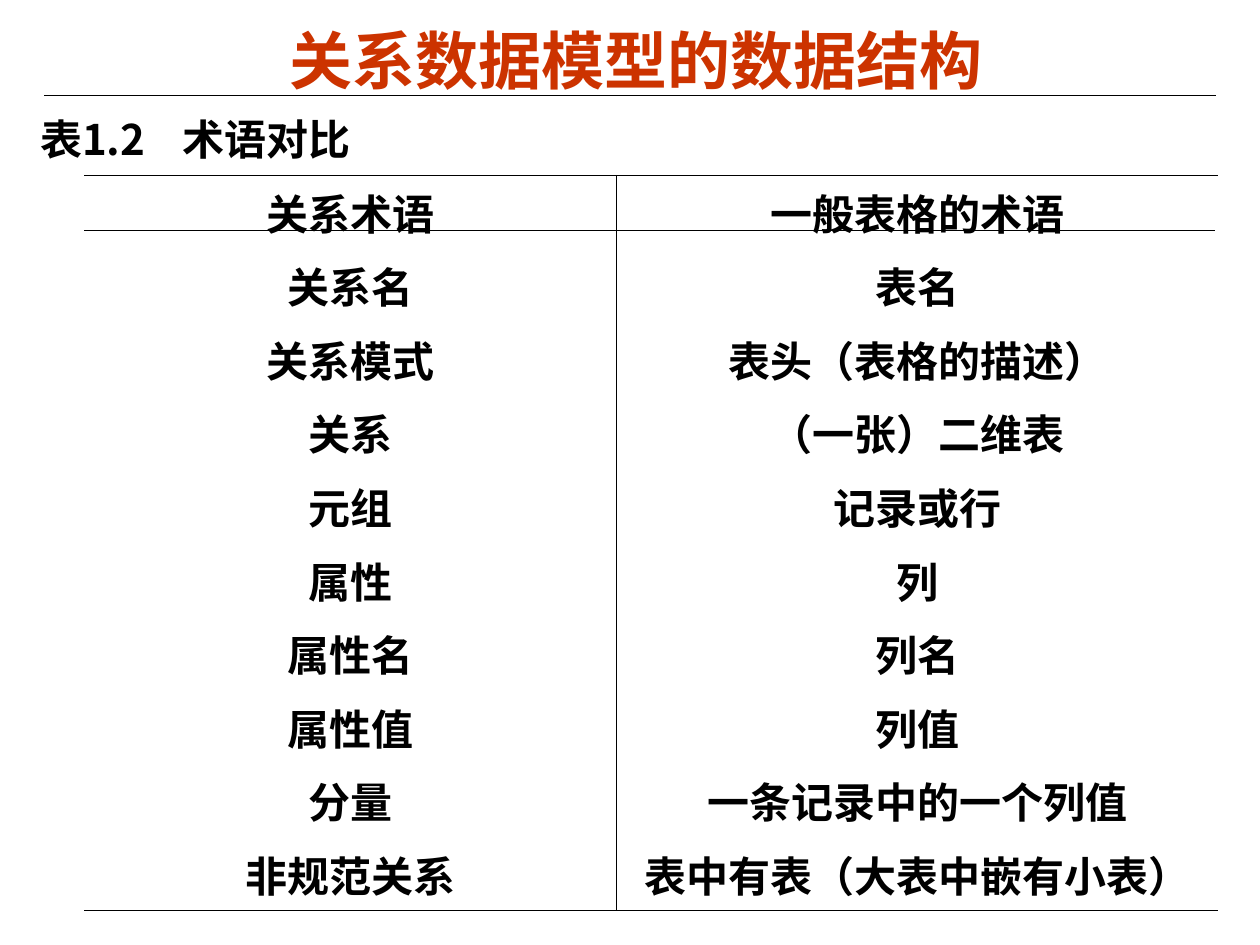
from pptx import Presentation
from pptx import util as u
from pptx.dml.color import RGBColor
from pptx.enum import shapes, text
from pptx.oxml import ns, xmlchemy

FONT = "Noto Sans CJK SC"
RED = RGBColor(0xCC, 0x33, 0x00)
BLACK = RGBColor(0x00, 0x00, 0x00)
TERMS = [
    ("关系术语", "一般表格的术语"),
    ("关系名", "表名"),
    ("关系模式", "表头（表格的描述）"),
    ("关系", "（一张）二维表"),
    ("元组", "记录或行"),
    ("属性", "列"),
    ("属性名", "列名"),
    ("属性值", "列值"),
    ("分量", "一条记录中的一个列值"),
    ("非规范关系", "表中有表（大表中嵌有小表）"),
]


def add_child(parent, tag, **attributes):
    child = xmlchemy.OxmlElement(tag)
    for name, value in attributes.items():
        child.set(name, str(value))
    parent.append(child)
    return child


def write(frame, content, size=24, color=BLACK, align=text.PP_ALIGN.CENTER, tab=None):
    paragraph = frame.paragraphs[0]
    paragraph.alignment = align
    if tab is not None:
        tabs = add_child(paragraph._p.get_or_add_pPr(), "a:tabLst")
        add_child(tabs, "a:tab", pos=int(tab), algn="l")
    run = paragraph.add_run()
    run.text = content
    run.font.size = u.Pt(size)
    run.font.bold = True
    run.font.color.rgb = color
    run.font.name = FONT
    latin = run.font._element.find(ns.qn("a:latin"))
    east_asian = xmlchemy.OxmlElement("a:ea")
    east_asian.set("typeface", FONT)
    latin.addnext(east_asian)


class SlideBuilder:
    """Draws the styled elements of one slide."""

    def __init__(self, slide):
        self.slide = slide

    def line(self, left, right, top):
        line = self.slide.shapes.add_connector(
            shapes.MSO_CONNECTOR.STRAIGHT,
            u.Inches(left), u.Inches(top), u.Inches(right), u.Inches(top))
        line.line.color.rgb = BLACK
        line.line.width = u.Pt(0.75)
        add_child(line._element.spPr, "a:effectLst")

    def textbox(self, content, left, top, width, height, wrap=True, **style):
        shape = self.slide.shapes.add_textbox(*map(u.Inches, (left, top, width, height)))
        frame = shape.text_frame
        frame.word_wrap = wrap
        frame.vertical_anchor = text.MSO_ANCHOR.MIDDLE
        frame.margin_top = frame.margin_bottom = 0
        write(frame, content, **style)

    def border(self, cell, sides):
        properties = cell._tc.get_or_add_tcPr()
        for side in "LRTB":
            edge = add_child(properties, f"a:ln{side}", w=int(u.Pt(0.45)))
            if side in sides:
                fill = add_child(edge, "a:solidFill")
                add_child(fill, "a:srgbClr", val=BLACK)
            else:
                add_child(edge, "a:noFill")

    def table(self, rows, left, top, widths, height):
        table = self.slide.shapes.add_table(
            len(rows), len(widths), u.Inches(left), u.Inches(top),
            u.Inches(sum(widths)), u.Inches(height)).table
        table.first_row = table.horz_banding = False
        for column, width in zip(table.columns, widths):
            column.width = u.Inches(width)
        for row_index, row in enumerate(rows):
            for column_index, content in enumerate(row):
                cell = table.cell(row_index, column_index)
                sides = "RL"[column_index]
                if row_index == 0:
                    sides += "T"
                if row_index == len(rows) - 1:
                    sides += "B"
                self.border(cell, sides)
                cell.fill.background()
                write(cell.text_frame, content)


def main():
    presentation = Presentation()
    presentation.slide_width = u.Inches(10)
    presentation.slide_height = u.Inches(7.5)
    builder = SlideBuilder(presentation.slides.add_slide(presentation.slide_layouts[6]))
    builder.line(0.35, 9.65, 0.76)
    builder.textbox("关系数据模型的数据结构", 1.01, 0.16, 8.08, 0.62, size=36, color=RED)
    builder.table(TERMS, 0.67, 1.39, (4.22, 4.78), 5.84)
    builder.textbox("表1.2\t术语对比", 0.22, 0.85, 3.5, 0.5, wrap=False,
                    align=text.PP_ALIGN.LEFT, tab=u.Inches(1.13))
    builder.line(0.67, 9.64, 1.83)
    presentation.save("out.pptx")


if __name__ == "__main__":
    main()
